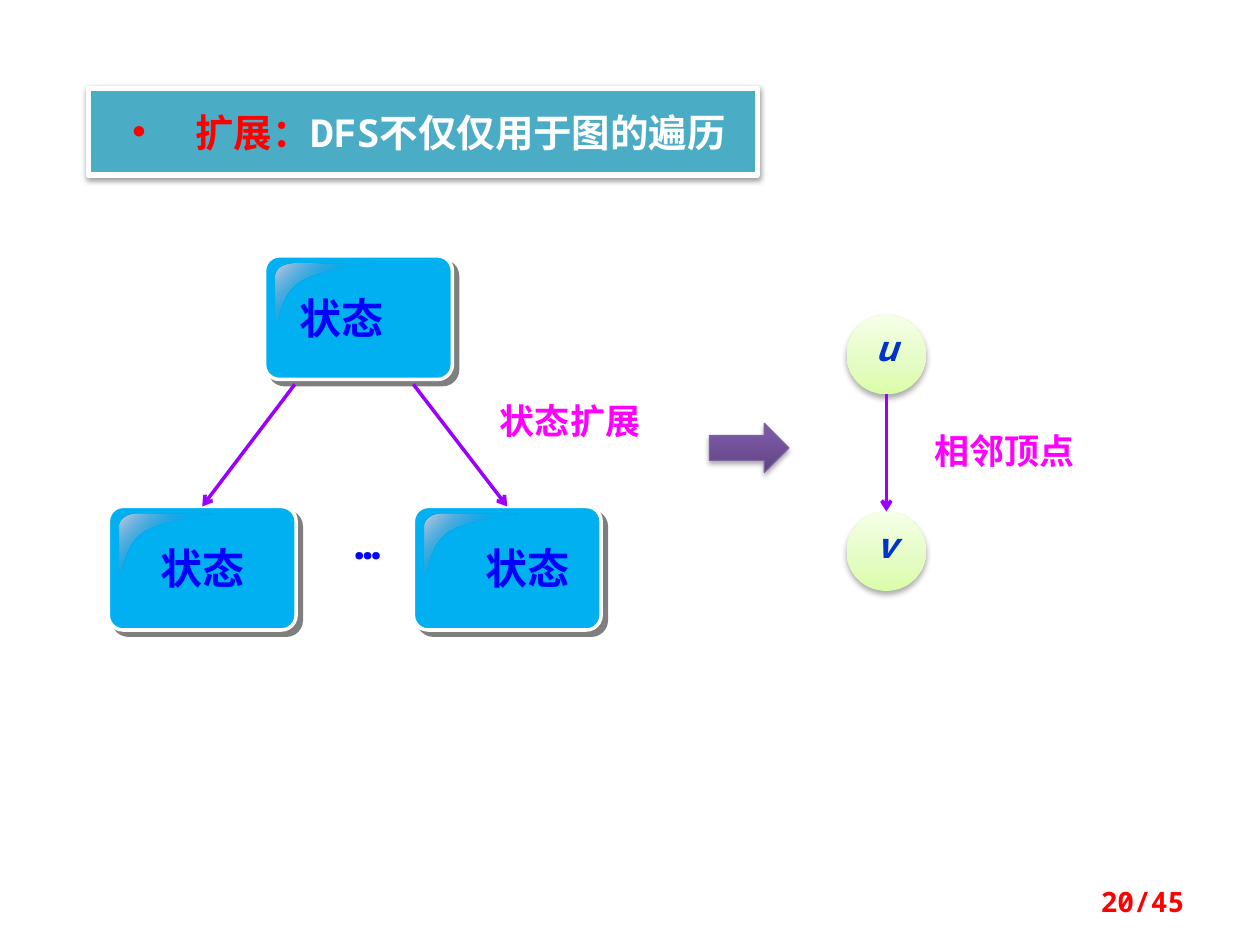
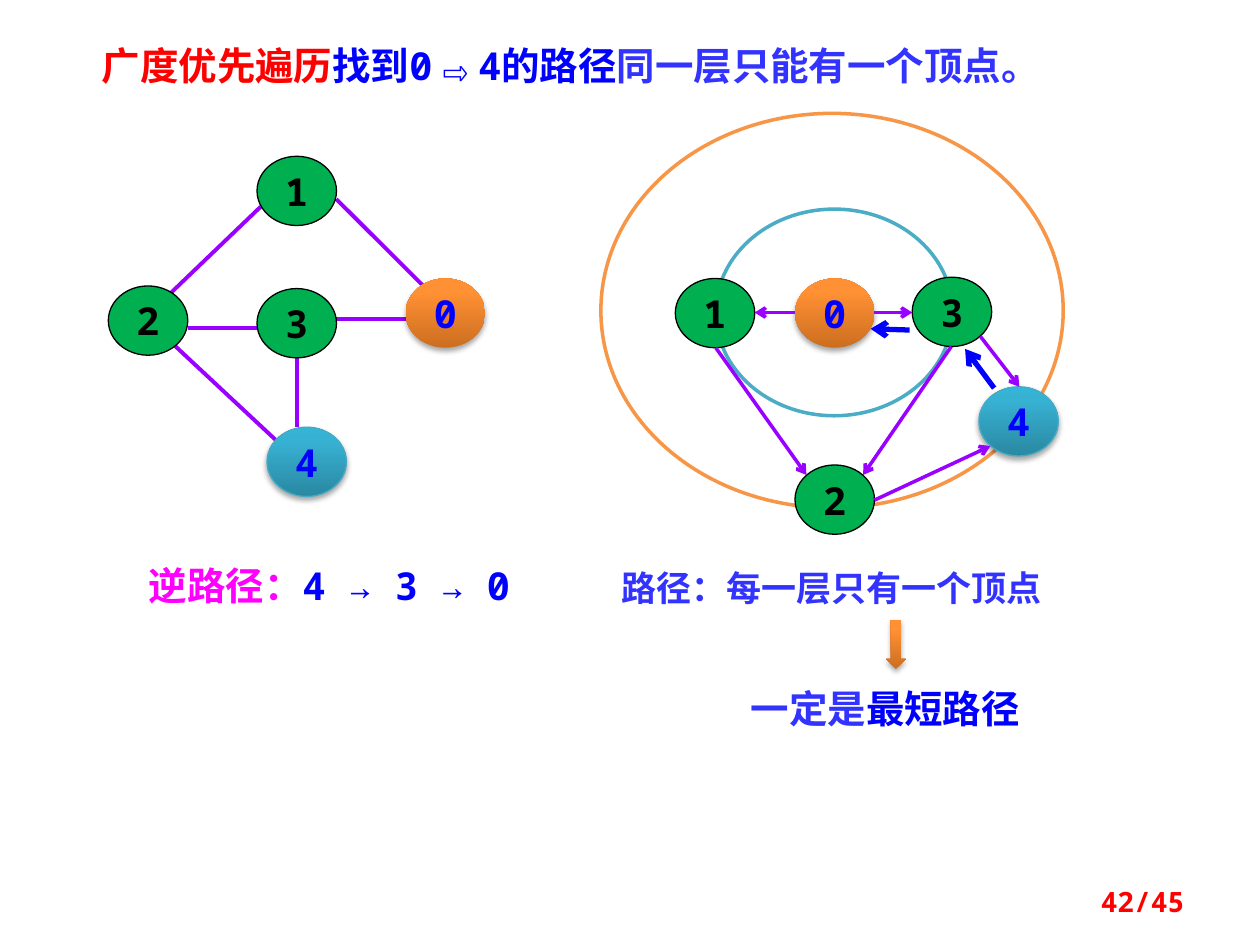
from lxml import etree
from pptx import Presentation
from pptx.dml.color import RGBColor
from pptx.enum.shapes import MSO_CONNECTOR, MSO_SHAPE
from pptx.enum.text import MSO_ANCHOR, MSO_AUTO_SIZE, PP_ALIGN
from pptx.oxml.ns import qn
from pptx.util import Pt

# Shared colours and fonts
WHITE = RGBColor(0xFF, 0xFF, 0xFF)
BLACK = RGBColor(0x00, 0x00, 0x00)
RED = RGBColor(0xFF, 0x00, 0x00)
BLUE = RGBColor(0x00, 0x00, 0xFF)
INDIGO = RGBColor(0x33, 0x33, 0xFF)
ROYAL = RGBColor(0x00, 0x33, 0xCC)
MAGENTA = RGBColor(0xFF, 0x00, 0xFF)
VIOLET = RGBColor(0x99, 0x00, 0xFF)
PURPLE = RGBColor(0x7D, 0x60, 0xA0)
SKY = RGBColor(0x00, 0xB0, 0xF0)
TEAL = RGBColor(0x4B, 0xAC, 0xC6)
TEAL_EDGE = RGBColor(0x46, 0xAA, 0xC5)
ORANGE = RGBColor(0xF7, 0x96, 0x46)
GREEN = RGBColor(0x00, 0xB0, 0x50)
MONO, CJK, SERIF = "Noto Sans Mono", "Noto Sans CJK SC", "Times New Roman"

# Gradients: angle, then (position, colour, opacity) stops
LIME_FADE = (270, [(0, "DAFDA7", 100), (35, "E4FCC2", 100), (100, "F5FFE7", 100)])
PURPLE_FADE = (270, [(0, "5F4480", 100), (80, "7B58A6", 100), (100, "7C57A8", 100)])
TEAL_FADE = (270, [(0, "2A88A2", 100), (80, "37B1D2", 100), (100, "34B4D6", 100)])
ORANGE_FADE = (270, [(0, "CC6E20", 100), (80, "FF9034", 100), (100, "FF9136", 100)])
SHINE_FADE = (45, [(0, "C4CEE2", 100), (50, "4F81BD", 0), (100, "C4CEE2", 100)])

# Shadows: opacity, blur, distance, direction
BAND_SHADOW = (38, 3.1, 1.6, 90)
CARD_SHADOW = (50, 0, 4.2, 45)
CIRCLE_SHADOW = (32, 3.5, 2.2, 90)
SOFT_SHADOW = (35, 3.1, 1.8, 90)

# Slide 1 content
DFS_TITLE = [("扩展：", RED), ("DFS不仅仅用于图的遍历", WHITE)]
CARD_SIZE = (107.3, 70.6)
# Card left and top, label offset from the card's left
CARDS = [(151.2, 146.2, 12.2), (61.9, 289.4, 22.3), (236.2, 289.4, 33.8)]
EXPANSION_STARTS = [(168.5, 219.6), (236.2, 219.6)]
# Corner shine inside a card: start, then cubic curves from each anchor
SHINE_CURVES = [
    [(17.3, 4.3), (11.5, 4.3), (6.5, 7.2), (6.5, 11.5)],
    [(6.5, 38.9), (9.4, 39.6), (7.9, 22.3), (20.9, 14.4)],
    [(20.9, 14.4), (34.6, 6.5), (60.5, 5.8), (59.8, 4.3)],
]
CIRCLES = [("u", 180), ("v", 292.3)]
CIRCLE_LEFT, CIRCLE_SIZE = 483.8, 45.4

# Slide 2 content
BFS_TITLE = [("广度优先遍历", RED), ("找到0⇨4的路径", BLUE), ("同一层只能有一个顶点。", INDIGO)]
NODE_SIZE = (45.4, 39.6)
RINGS = [((343.4, 64.8, 264.2, 225.4), ORANGE), ((409, 119.5, 135.4, 118.1), TEAL)]
GRAPH_EDGES = [
    ((192.2, 113.8), (243.4, 164.9)), ((95, 193), (161.3, 254.9)),
    ((149, 118.1), (97.2, 167.8)), ((107.3, 187.2), (152.6, 187.2)),
    ((169.9, 204.5), (169.9, 244.1)), ((192.2, 182.2), (237.6, 182.2)),
]
GRAPH_NODES = [("1", 146.9, 89.3), ("2", 61.9, 163.4), ("3", 146.9, 164.9),
               ("4", 152.6, 244.1), ("0", 231.8, 159.1)]
LAYER_NODES = [("0", 454.3, 159.1), ("1", 385.9, 159.1), ("3", 521.3, 158.4),
               ("2", 454.3, 265.7), ("4", 559.4, 221)]
VISIT_ARROWS = [
    ((499.7, 178.6), (521.3, 178.6)), ((454.3, 178.6), (431.3, 178.6)),
    ((409, 198.7), (460.8, 271.4)), ((543.6, 198), (493.2, 271.4)),
    ((560.2, 192.2), (582.5, 221)), ((499.7, 285.8), (565.9, 254.9)),
]
BACK_ARROWS = [((568.1, 221.8), (551.5, 199.4)), ((519.8, 188.6), (497.5, 187.9))]
# Node looks by label: fill, line, text colour; other labels use the plain look
PLAIN_NODE = (GREEN, BLACK, BLACK)
SPECIAL_NODES = {"0": (ORANGE_FADE, None, BLUE), "4": (TEAL_FADE, TEAL_EDGE, BLUE)}


def points(values):
    return [Pt(value) for value in values]


def add_xml(parent, tag, **attributes):
    return etree.SubElement(parent, qn(tag), {k: str(v) for k, v in attributes.items()})


# Shape styling
def set_gradient(shape, gradient):
    angle, stops = gradient
    shape.fill.background()
    properties = shape.element.spPr
    fade = etree.Element(qn("a:gradFill"), rotWithShape="1")
    stop_list = add_xml(fade, "a:gsLst")
    for position, colour, opacity in stops:
        stop = add_xml(stop_list, "a:gs", pos=position * 1000)
        tint = add_xml(stop, "a:srgbClr", val=colour)
        if opacity < 100:
            add_xml(tint, "a:alpha", val=opacity * 1000)
    add_xml(fade, "a:lin", ang=angle * 60000, scaled=0)
    properties.replace(properties.find(qn("a:noFill")), fade)


def style_shape(shape, fill, line=None, width=0.75, shadow=None):
    if isinstance(fill, RGBColor):
        shape.fill.solid()
        shape.fill.fore_color.rgb = fill
    else:
        set_gradient(shape, fill)
    if line is None:
        shape.line.fill.background()
    else:
        shape.line.color.rgb = line
        shape.line.width = Pt(width)
    shape.shadow.inherit = False
    if shadow:
        opacity, blur, distance, direction = shadow
        effects = shape.element.spPr.find(qn("a:effectLst"))
        outer = add_xml(effects, "a:outerShdw", blurRad=Pt(blur), dist=Pt(distance),
                        dir=direction * 60000, algn="ctr", rotWithShape=0)
        add_xml(add_xml(outer, "a:srgbClr", val="000000"), "a:alpha", val=opacity * 1000)


def add_figure(page, kind, frame, fill, **style):
    shape = page.shapes.add_shape(kind, *points(frame))
    style_shape(shape, fill, **style)
    return shape


# Text
def write(box, spans, size, font=MONO, align=PP_ALIGN.CENTER, anchor=MSO_ANCHOR.TOP,
          wrap=True, italic=None, bullet=None):
    frame = box.text_frame
    frame.word_wrap = wrap
    frame.auto_size = MSO_AUTO_SIZE.NONE
    frame.vertical_anchor = anchor
    para = frame.paragraphs[0]
    para.alignment = align
    if bullet:
        properties = para._p.get_or_add_pPr()
        properties.set("marL", str(Pt(36)))
        properties.set("indent", str(-Pt(36)))
        add_xml(properties, "a:buFont", typeface="Arial")
        add_xml(properties, "a:buChar", char=bullet)
    base_colour = spans[0][1]
    para.font.name = font
    para.font.size = Pt(size)
    para.font.bold = True
    para.font.italic = italic
    para.font.color.rgb = base_colour
    add_xml(para._p.pPr.find(qn("a:defRPr")), "a:ea", typeface=CJK)
    for text, colour in spans:
        span = para.add_run()
        span.text = text
        if colour != base_colour:
            span.font.color.rgb = colour


def add_label(page, frame, spans, size, **options):
    write(page.shapes.add_textbox(*points(frame)), spans, size, **options)


# Lines
def add_line(page, start, end, colour=VIOLET, width=2, arrow=True):
    line = page.shapes.add_connector(MSO_CONNECTOR.STRAIGHT, *points(start + end))
    line.line.color.rgb = colour
    line.line.width = Pt(width)
    if arrow:
        add_xml(line.line._get_or_add_ln(), "a:tailEnd", type="arrow")
    add_xml(line.element.spPr, "a:effectLst")
    return line


# Page frame shared by both slides
def add_page(deck, title_frame, title, number, **title_options):
    page = deck.slides.add_slide(deck.slide_layouts[5])
    heading = page.shapes.title
    heading.left, heading.top, heading.width, heading.height = points(title_frame)
    write(heading, title, 22, **title_options)
    add_label(page, (516.2, 500.4, 167.8, 28.8), [(f"{number}/45", RED)], 16,
              align=PP_ALIGN.RIGHT, anchor=MSO_ANCHOR.MIDDLE)
    return page


# Slide 1 parts
def curve_points(curve, steps=12):
    for step in range(steps + 1):
        t = step / steps
        weights = ((1 - t) ** 3, 3 * t * (1 - t) ** 2, 3 * t * t * (1 - t), t ** 3)
        yield tuple(sum(w * p[axis] for w, p in zip(weights, curve)) for axis in (0, 1))


def add_card(page, left, top, label_offset):
    card = add_figure(page, MSO_SHAPE.ROUNDED_RECTANGLE, (left, top, *CARD_SIZE), SKY,
                      line=WHITE, width=2, shadow=CARD_SHADOW)
    card.adjustments[0] = 0.12
    outline = [points((left + x, top + y)) for curve in SHINE_CURVES
               for x, y in curve_points(curve)]
    builder = page.shapes.build_freeform(*outline[0])
    builder.add_line_segments(outline[1:], close=True)
    style_shape(builder.convert_to_shape(), SHINE_FADE)
    add_label(page, (left + label_offset, top + 17.3, 63.4, 36), [("状态", BLUE)], 24, wrap=False)
    return card


def build_dfs_page(deck):
    page = add_page(deck, (50.4, 50.4, 382.3, 49.7), DFS_TITLE, 20,
                    anchor=MSO_ANCHOR.MIDDLE, bullet="•")
    band = page.shapes.title
    style_shape(band, TEAL, line=WHITE, width=3, shadow=BAND_SHADOW)
    band.text_frame.margin_left = Pt(14.4)

    # State tree
    cards = [add_card(page, *card) for card in CARDS]
    for start, card in zip(EXPANSION_STARTS, cards[1:]):
        add_line(page, start, start).end_connect(card, 0)
    add_label(page, (275, 224.6, 101.5, 31), [("状态扩展", MAGENTA)], 20)
    add_label(page, (185, 292.3, 50.4, 36), [("…", BLUE)], 24)

    # Matching graph step
    add_figure(page, MSO_SHAPE.RIGHT_ARROW, (405.4, 241.9, 45.4, 28.1), PURPLE_FADE,
               line=PURPLE, shadow=SOFT_SHADOW)
    for name, top in CIRCLES:
        circle = add_figure(page, MSO_SHAPE.OVAL, (CIRCLE_LEFT, top, CIRCLE_SIZE, CIRCLE_SIZE),
                            LIME_FADE, shadow=CIRCLE_SHADOW)
        circle.text_frame.margin_top = 0
        write(circle, [(name, ROYAL)], 20, italic=True)
    middle = CIRCLE_LEFT + CIRCLE_SIZE / 2
    add_line(page, (middle, CIRCLES[0][1] + CIRCLE_SIZE), (middle, CIRCLES[1][1]))
    add_label(page, (523.4, 241.9, 101.5, 31.7), [("相邻顶点", MAGENTA)], 20)


# Slide 2 parts
def add_nodes(page, nodes):
    for name, left, top in nodes:
        fill, line, colour = SPECIAL_NODES.get(name, PLAIN_NODE)
        node = add_figure(page, MSO_SHAPE.OVAL, (left, top, *NODE_SIZE), fill, line=line,
                          shadow=SOFT_SHADOW if name in SPECIAL_NODES else None)
        write(node, [(name, colour)], 22, anchor=MSO_ANCHOR.MIDDLE, wrap=False)


def build_bfs_page(deck):
    page = add_page(deck, (28, 20.2, 596.2, 33.8), BFS_TITLE, 42)

    # Graph
    for start, end in GRAPH_EDGES:
        add_line(page, start, end, width=2.25, arrow=False)
    add_nodes(page, GRAPH_NODES)

    # Search layers
    for frame, colour in RINGS:
        add_figure(page, MSO_SHAPE.OVAL, frame, WHITE, line=colour, width=2)
    add_nodes(page, LAYER_NODES)
    for start, end in VISIT_ARROWS:
        add_line(page, start, end)
    for start, end in BACK_ARROWS:
        add_line(page, start, end, colour=BLUE, width=3)

    # Conclusions
    add_label(page, (56.2, 317.5, 264.2, 33.8), [("逆路径：", MAGENTA), ("4 → 3 → 0", BLUE)], 22)
    add_label(page, (326.2, 320.4, 298, 31.7), [("路径：每一层只有一个顶点", INDIGO)], 20, font=CJK)
    add_figure(page, MSO_SHAPE.DOWN_ARROW, (506.2, 354.2, 11.5, 28.1), ORANGE_FADE,
               shadow=SOFT_SHADOW)
    add_label(page, (421.9, 388, 185.8, 33.8), [("一定是", INDIGO), ("最短路径", BLUE)], 22,
              font=SERIF, align=PP_ALIGN.LEFT)


def main():
    deck = Presentation()
    deck.slide_width, deck.slide_height = Pt(720), Pt(540)
    build_dfs_page(deck)
    build_bfs_page(deck)
    deck.save("out.pptx")


if __name__ == "__main__":
    main()
